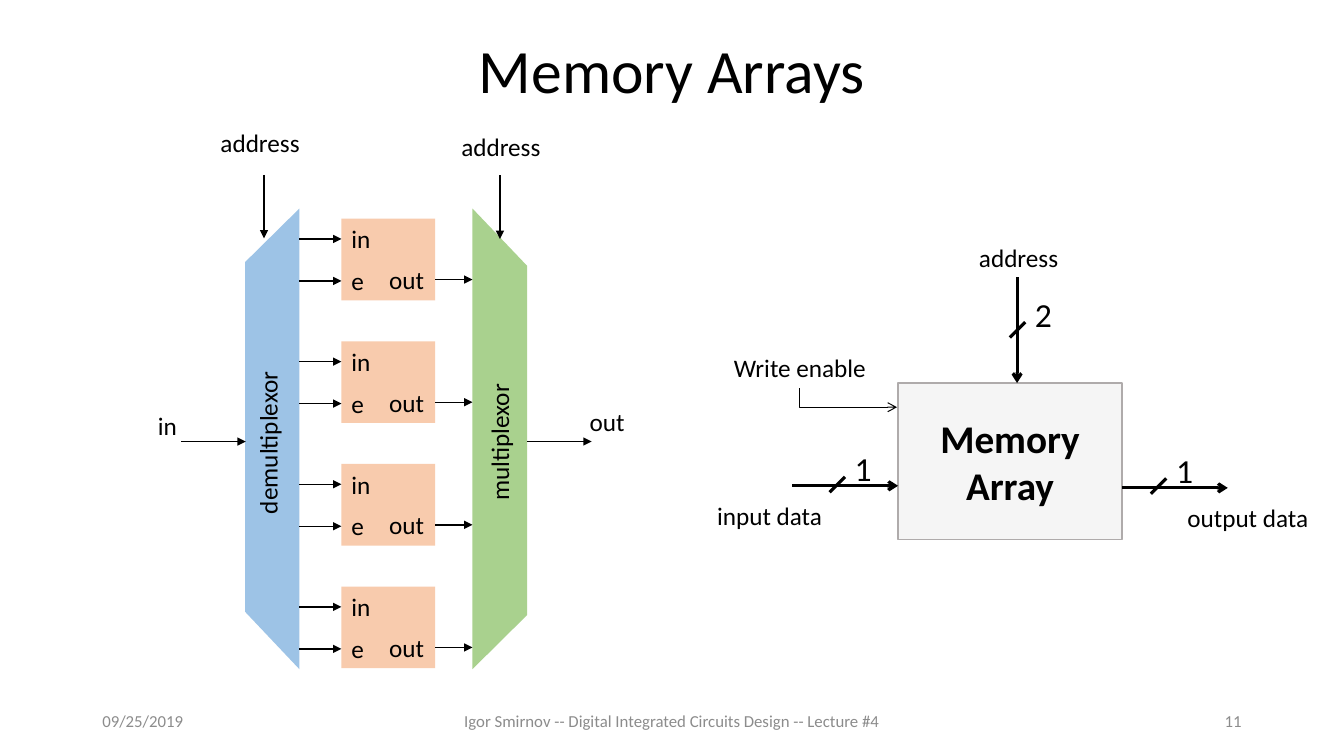
from typing import NamedTuple

from lxml.etree import SubElement
from pptx import Presentation
from pptx.dml.color import RGBColor
from pptx.enum.shapes import MSO_CONNECTOR, MSO_SHAPE
from pptx.enum.text import MSO_ANCHOR, MSO_AUTO_SIZE, PP_ALIGN
from pptx.oxml.ns import qn
from pptx.util import Pt

COLOURS = {
    "black": "000000", "footer": "8C8C8C", "demultiplexor": "9DC3E6",
    "multiplexor": "A9D18E", "cell": "F8CBAD", "memory": "F5F5F5",
    "memory_edge": "AFABAB",
}
FONT = "Calibri"
LEFT, CENTER, RIGHT = PP_ALIGN.LEFT, PP_ALIGN.CENTER, PP_ALIGN.RIGHT
LABEL_HEIGHT = 29
CELL_COUNT, CELL_TOP, CELL_PITCH = 4, 156.2, 87.6
CELL_LEFT, CELL_WIDTH, CELL_HEIGHT = 243.9, 67, 58.3
DEMUX_RIGHT, MUX_LEFT = 213.8, 337.5


class Label(NamedTuple):
    text: str
    left: float
    top: float
    width: float
    align: PP_ALIGN = LEFT
    size: float = 18
    height: float = LABEL_HEIGHT
    rotation: float = 0


class Wire(NamedTuple):
    x1: float
    y1: float
    x2: float
    y2: float
    arrow: str = "triangle"
    weight: float = 1


class Footer(NamedTuple):
    text: str
    left: float
    width: float
    align: PP_ALIGN


class Block(NamedTuple):
    colour: str
    corners: list[tuple[float, float]]


BLOCKS = [
    Block("demultiplexor", [(DEMUX_RIGHT, 478), (DEMUX_RIGHT, 149), (175, 187.3), (175, 437)]),
    Block("multiplexor", [(MUX_LEFT, 149), (MUX_LEFT, 478), (376.6, 439.3), (376.6, 190)]),
]
LABELS = [
    Label("demultiplexor", 132.5, 301, 117.4, rotation=270),
    Label("multiplexor", 307.4, 301, 98.6, rotation=270),
    Label("in", 105.8, 289.4, 28),
    Label("out", 414, 286.6, 39.6),
    Label("address", 149.8, 87.1, 72, CENTER),
    Label("address", 321.8, 90, 72, CENTER),
    Label("address", 690.5, 169.2, 74.2, CENTER),
    Label("input data", 503.3, 353.5, 92.9, CENTER),
    Label("output data", 838.8, 355, 105.1, CENTER),
    Label("Write enable", 515.5, 248.4, 111.6, CENTER),
    Label("2", 732.2, 206.6, 26.6, size=24, height=36),
    Label("1", 603.4, 316.1, 26.6, size=24, height=36),
    Label("1", 833, 318.2, 26.6, size=24, height=36),
]
WIRES = [
    Wire(376.6, 315.4, 422.6, 315.4),
    Wire(129.6, 315.4, 175.6, 315.4),
    Wire(188.6, 124.9, 188.6, 170.3),
    Wire(357.1, 125.3, 357.1, 170.7),
    Wire(726.5, 198, 726.5, 273.6, "arrow", 2.25),
    Wire(565.9, 347, 641.5, 347, "arrow", 2.25),
    Wire(801.4, 348.5, 877, 348.5, "arrow", 2.25),
]
BUS_SLASHES = [(721.3, 241.1), (592.6, 351.6), (822.1, 352.7)]
SLASH_SIZE = 11
FOOTERS = [
    Footer("09/25/2019", 66, 216, LEFT),
    Footer("Igor Smirnov -- Digital Integrated Circuits Design -- Lecture #4", 318, 324, CENTER),
    Footer("11", 678, 216, RIGHT),
]


def colour(name: str) -> RGBColor:
    return RGBColor.from_string(COLOURS[name])


def write(para, text: str, size: float, align: PP_ALIGN, ink="black", bold=False) -> None:
    para.alignment = align
    span = para.add_run()
    span.text = text
    span.font.name = FONT
    span.font.size = Pt(size)
    span.font.bold = bold
    span.font.color.rgb = colour(ink)


def draw_label(page, label: Label) -> None:
    box = page.shapes.add_textbox(
        Pt(label.left), Pt(label.top), Pt(label.width), Pt(label.height))
    box.rotation = label.rotation
    box.text_frame.word_wrap = False
    box.text_frame.auto_size = MSO_AUTO_SIZE.SHAPE_TO_FIT_TEXT
    write(box.text_frame.paragraphs[0], label.text, label.size, label.align)


def draw_footer(page, footer: Footer) -> None:
    box = page.shapes.add_textbox(Pt(footer.left), Pt(500.5), Pt(footer.width), Pt(28.8))
    box.text_frame.word_wrap = True
    box.text_frame.vertical_anchor = MSO_ANCHOR.MIDDLE
    write(box.text_frame.paragraphs[0], footer.text, 12, footer.align, "footer")


def draw_wire(page, wire: Wire, kind=MSO_CONNECTOR.STRAIGHT, arrow_end="a:tailEnd"):
    connector = page.shapes.add_connector(
        kind, Pt(wire.x1), Pt(wire.y1), Pt(wire.x2), Pt(wire.y2))
    connector.line.color.rgb = colour("black")
    connector.line.width = Pt(wire.weight)
    properties = connector._element.spPr
    if wire.arrow:
        SubElement(properties.find(qn("a:ln")), qn(arrow_end), type=wire.arrow)
    SubElement(properties, qn("a:effectLst"))
    return connector


def draw_write_enable(page) -> None:
    """Draw the one-corner wire, whose arrowhead is at its first point."""
    wire = Wire(640.8, 290.9, 571, 277.2, "arrow", 0.75)
    connector = draw_wire(page, wire, MSO_CONNECTOR.ELBOW, "a:headEnd")
    connector._element.spPr.find(qn("a:prstGeom")).set("prst", "bentConnector2")


def draw_block(page, block: Block) -> None:
    first, *others = [(Pt(x), Pt(y)) for x, y in block.corners]
    builder = page.shapes.build_freeform(*first)
    builder.add_line_segments(others, close=True)
    shape = builder.convert_to_shape()
    shape.shadow.inherit = False
    shape.fill.solid()
    shape.fill.fore_color.rgb = colour(block.colour)
    shape.line.fill.background()


def draw_rectangle(page, left: float, top: float, width: float, height: float, fill: str):
    shape = page.shapes.add_shape(
        MSO_SHAPE.RECTANGLE, Pt(left), Pt(top), Pt(width), Pt(height))
    shape.shadow.inherit = False
    shape.fill.solid()
    shape.fill.fore_color.rgb = colour(fill)
    shape.line.fill.background()
    return shape


def draw_cell(page, top: float) -> None:
    draw_rectangle(page, CELL_LEFT, top, CELL_WIDTH, CELL_HEIGHT, "cell")
    draw_label(page, Label("in", CELL_LEFT, top, 28))
    draw_label(page, Label("out", 270.9, top + 29, 39.6))
    draw_label(page, Label("e", CELL_LEFT, top + 29.9, 23.8))
    for drop in (14.5, 44.5):
        draw_wire(page, Wire(DEMUX_RIGHT, top + drop, CELL_LEFT, top + drop))
    draw_wire(page, Wire(CELL_LEFT + CELL_WIDTH, top + 43.5, MUX_LEFT, top + 43.5))


def draw_memory(page) -> None:
    memory = draw_rectangle(page, 641.5, 273.6, 159.9, 111.6, "memory")
    memory.line.color.rgb = colour("memory_edge")
    memory.line.width = Pt(1)
    frame = memory.text_frame
    frame.word_wrap = False
    frame.vertical_anchor = MSO_ANCHOR.MIDDLE
    write(frame.paragraphs[0], "Memory", 28, CENTER, bold=True)
    write(frame.add_paragraph(), "Array", 28, CENTER, bold=True)


def draw_title(page) -> None:
    title = page.shapes.title
    title.left, title.top, title.width, title.height = Pt(66), Pt(0), Pt(828), Pt(104.4)
    title.text_frame.vertical_anchor = MSO_ANCHOR.MIDDLE
    para = title.text_frame.paragraphs[0]
    para.line_spacing = 0.9
    write(para, "Memory Arrays", 44, CENTER)


def main() -> None:
    deck = Presentation()
    deck.slide_width, deck.slide_height = Pt(960), Pt(540)
    page = deck.slides.add_slide(deck.slide_layouts[5])
    draw_title(page)
    for footer in FOOTERS:
        draw_footer(page, footer)
    for block in BLOCKS:
        draw_block(page, block)
    for row in range(CELL_COUNT):
        draw_cell(page, CELL_TOP + row * CELL_PITCH)
    draw_memory(page)
    for wire in WIRES:
        draw_wire(page, wire)
    for x, y in BUS_SLASHES:
        draw_wire(page, Wire(x, y, x + SLASH_SIZE, y - SLASH_SIZE, "", 2.25))
    draw_write_enable(page)
    for label in LABELS:
        draw_label(page, label)
    deck.save("out.pptx")


if __name__ == "__main__":
    main()
